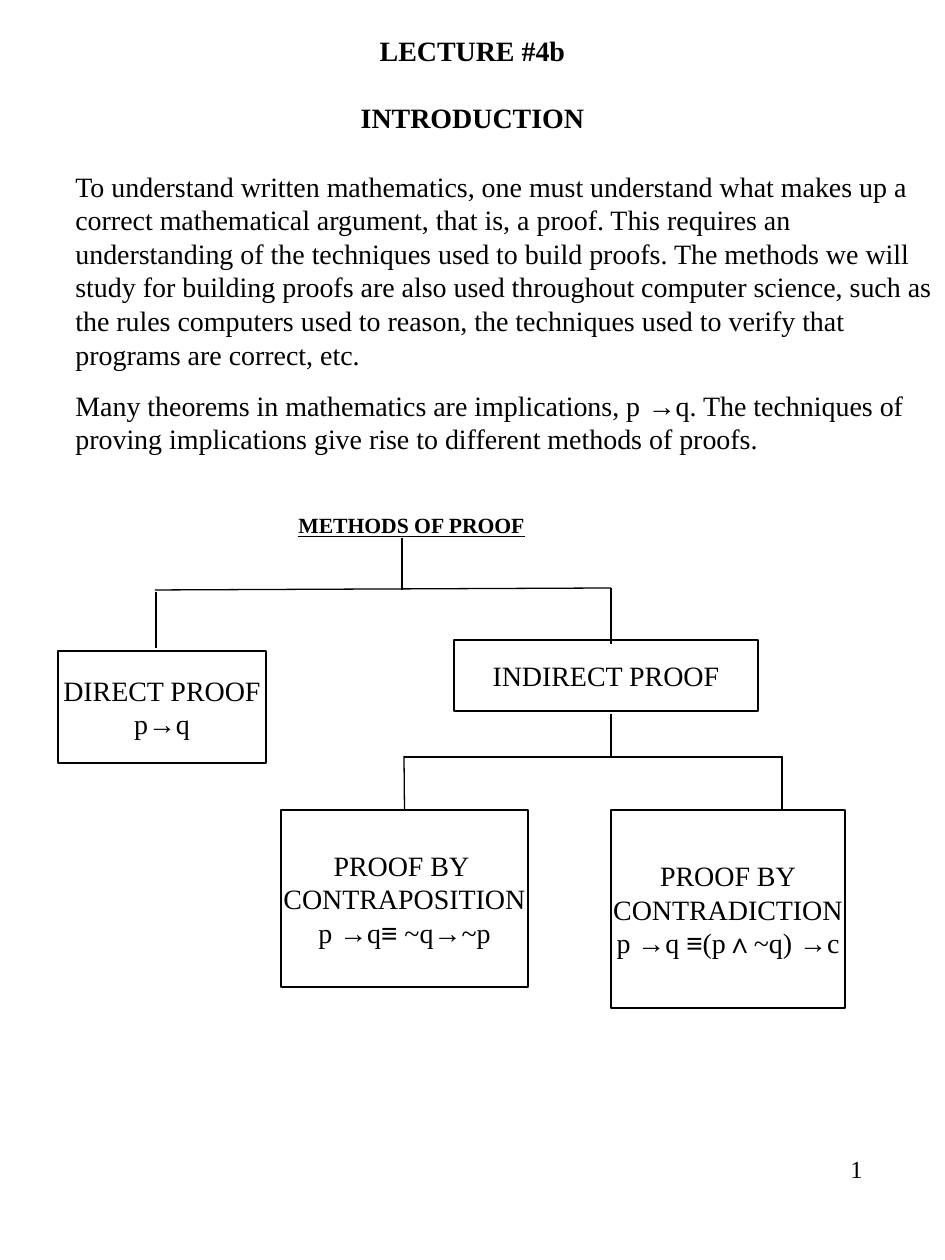
import itertools
from dataclasses import dataclass

import pptx
import pptx.util
import pptx.dml.color
import pptx.enum.shapes
import pptx.enum.text
import pptx.oxml.ns
from lxml import etree

PX = 914400 / 126
COLORS = {"ink": "000000"}
SERIF, SYMBOL = "Times New Roman", "Arial"
SYMBOLS = "→≡∧"
ALIGN = pptx.enum.text.PP_ALIGN
ANCHOR = pptx.enum.text.MSO_ANCHOR


@dataclass
class Label:
    at: tuple[int, int, int, int]
    lines: list[str]
    align: ALIGN = ALIGN.CENTER
    anchor: ANCHOR = ANCHOR.MIDDLE
    size: float = 16
    bold: bool = False
    underline: bool = False
    gap: float = 0
    indent: int = 0
    boxed: bool = False


@dataclass
class Line:
    start: tuple[int, int]
    end: tuple[int, int]
    target: str = ""


def emu(px: int) -> pptx.util.Emu:
    return pptx.util.Emu(round(px * PX))


def rgb(name: str) -> pptx.dml.color.RGBColor:
    return pptx.dml.color.RGBColor.from_string(COLORS[name])


def add_runs(p, text: str, label: Label) -> None:
    # Mathematical symbols get their own font
    for is_symbol, chars in itertools.groupby(text, lambda c: c in SYMBOLS):
        r = p.add_run()
        r.text = "".join(chars)
        r.font.name = SYMBOL if is_symbol else SERIF
        r.font.size = pptx.util.Pt(label.size)
        r.font.bold = label.bold
        r.font.underline = label.underline
        r.font.color.rgb = rgb("ink")


def add_label(s, label: Label):
    at = [emu(v) for v in label.at]
    if label.boxed:
        sp = s.shapes.add_shape(pptx.enum.shapes.MSO_SHAPE.RECTANGLE, *at)
        sp.shadow.inherit = False
        sp.fill.background()
        sp.line.color.rgb = rgb("ink")
        sp.line.width = pptx.util.Pt(0.75)
    else:
        sp = s.shapes.add_textbox(*at)
    tf = sp.text_frame
    tf.word_wrap = not label.boxed
    tf.vertical_anchor = label.anchor
    for i, text in enumerate(label.lines):
        p = tf.add_paragraph() if i else tf.paragraphs[0]
        p.alignment = label.align
        if i and label.gap:
            p.space_before = pptx.util.Pt(label.gap)
        if label.indent:
            p.level = 1
            pPr = p._p.get_or_add_pPr()
            pPr.set("marL", str(emu(label.indent)))
            pPr.set("indent", "0")
        add_runs(p, text, label)
    return sp


def add_line(s, line: Line, boxes: dict) -> None:
    c = s.shapes.add_connector(
        pptx.enum.shapes.MSO_CONNECTOR.STRAIGHT,
        *[emu(v) for v in line.start + line.end])
    c.line.color.rgb = rgb("ink")
    c.line.width = pptx.util.Pt(0.75)
    etree.SubElement(c._element.spPr, pptx.oxml.ns.qn("a:effectLst"))
    if line.target:
        c.end_connect(boxes[line.target], 0)


TEXTS = [
    # Page number
    Label((678, 1148, 197, 84), ["1"], ALIGN.RIGHT, ANCHOR.TOP, size=14),
    # Title
    Label((0, 10, 945, 147), ["LECTURE #4b", "INTRODUCTION"], bold=True, gap=19),
    # Introduction
    Label((0, 163, 945, 299), [
        "To understand written mathematics, one must understand what makes up a "
        "correct mathematical argument, that is, a proof. This requires an "
        "understanding of the techniques used to build proofs. The methods we will "
        "study for building proofs are also used throughout computer science, such "
        "as the rules computers used to reason, the techniques used to verify that "
        "programs are correct, etc.",
        "Many theorems in mathematics are implications, p →q. The techniques of "
        "proving implications give rise to different methods of proofs.",
    ], ALIGN.LEFT, ANCHOR.TOP, gap=10, indent=63),
    # Root of the tree
    Label((10, 504, 803, 42), ["METHODS OF PROOF"], size=12.4, bold=True,
          underline=True),
]

BOXES = {
    "indirect": Label((454, 640, 304, 71), ["INDIRECT PROOF"], boxed=True),
    "direct": Label((58, 651, 208, 112), ["DIRECT PROOF", "p→q"], boxed=True),
    "contraposition": Label(
        (281, 810, 247, 177),
        ["PROOF BY ", "CONTRAPOSITION", "p →q≡ ~q→~p"], boxed=True),
    "contradiction": Label(
        (611, 810, 234, 198),
        ["PROOF BY", "CONTRADICTION", "p →q ≡(p∧~q) →c"], boxed=True),
}

LINES = [
    # Root to direct and indirect proof
    Line((402, 538), (402, 590)),
    Line((155, 590), (611, 588)),
    Line((156, 592), (156, 648)),
    Line((611, 588), (611, 644)),
    # Indirect proof to its two kinds
    Line((611, 714), (611, 756)),
    Line((404, 757), (782, 757)),
    Line((404, 756), (404, 810), "contraposition"),
    Line((782, 756), (782, 811)),
]


def main() -> None:
    prs = pptx.Presentation()
    prs.slide_width, prs.slide_height = emu(945), emu(1260)
    s = prs.slides.add_slide(prs.slide_layouts[6])
    for label in TEXTS:
        add_label(s, label)
    boxes = {name: add_label(s, label) for name, label in BOXES.items()}
    for line in LINES:
        add_line(s, line, boxes)
    prs.save("out.pptx")


if __name__ == "__main__":
    main()
